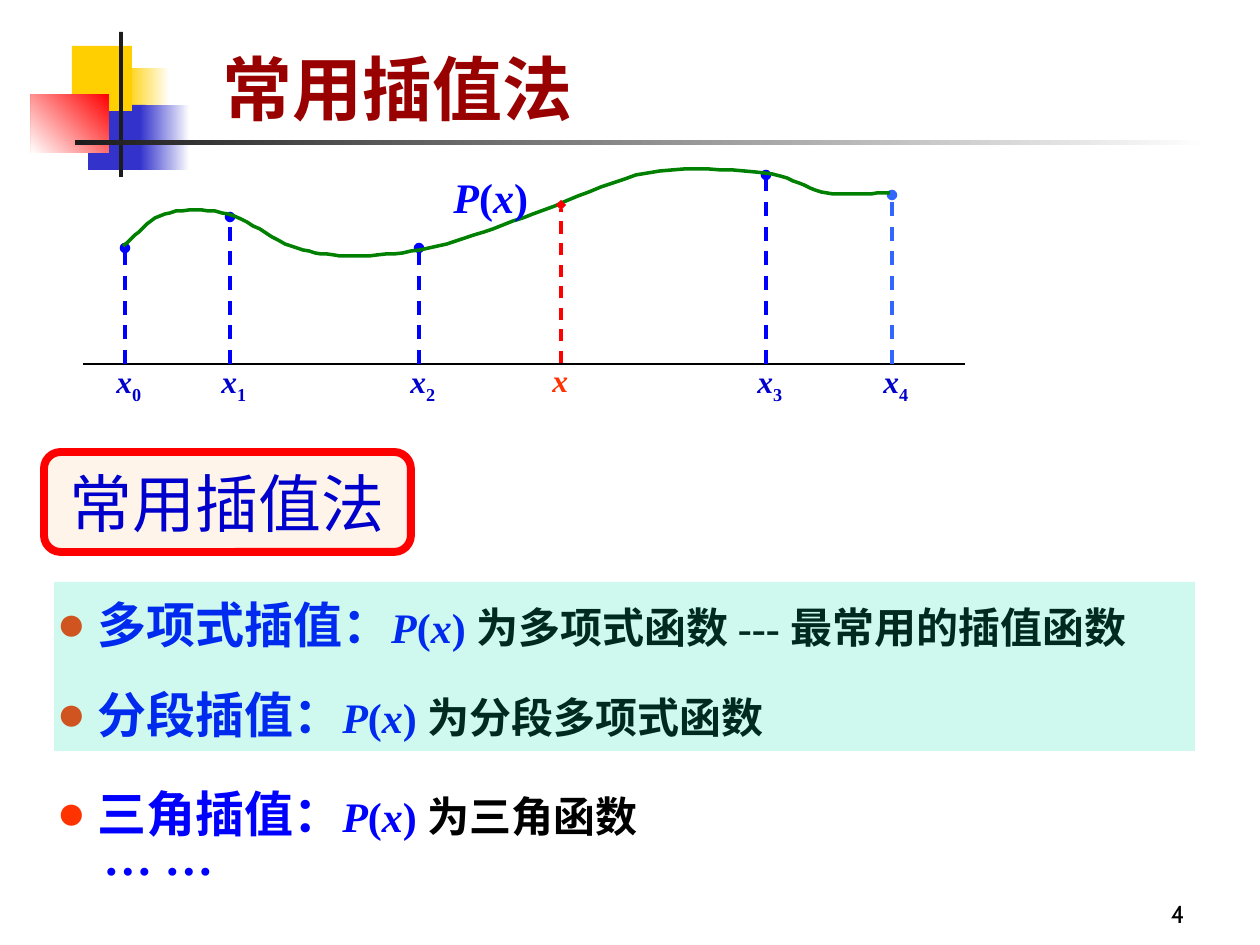
from dataclasses import dataclass
import pptx
import pptx.dml.color
import pptx.enum.dml
import pptx.enum.lang
import pptx.enum.shapes
import pptx.enum.text
import pptx.oxml
import pptx.oxml.ns
import pptx.util

PIXEL = 914400 / 126
SHAPE = pptx.enum.shapes.MSO_SHAPE
ALIGN = pptx.enum.text.PP_ALIGN
ANCHOR = pptx.enum.text.MSO_ANCHOR
FIT = pptx.enum.text.MSO_AUTO_SIZE


@dataclass(frozen=True)
class Theme:
    serif: str = "Times New Roman"
    sans: str = "Cabin"
    white: str = "FFFFFF"
    black: str = "000000"
    ink: str = "1C1C1C"
    gold: str = "FFCF01"
    indigo: str = "3333CC"
    red: str = "FF0000"
    orange: str = "FF3300"
    maroon: str = "990000"
    blue: str = "0000FF"
    navy: str = "0000CC"
    sky: str = "3366FF"
    green: str = "008000"
    peach: str = "FFCC99"
    mint: str = "00E4A8"
    title: int = 40
    heading: int = 36
    topic: int = 28
    body: int = 24
    label: int = 18
    number: int = 14


def px(length):
    return pptx.util.Emu(round(length * PIXEL))


def rgb(code):
    return pptx.dml.color.RGBColor.from_string(code)


def add_child(parent, tag, **attributes):
    child = pptx.oxml.ns.qn(tag)
    element = parent.makeelement(child, attributes)
    parent.append(element)
    return element


def write(para, text, size, color, font=Theme.serif, bold=True, italic=False, base=None):
    span = para.add_run()
    span.text = text
    span.font.size = pptx.util.Pt(size)
    span.font.name = font
    span.font.bold = bold
    span.font.italic = italic
    span.font.color.rgb = rgb(color)
    span.font.language_id = pptx.enum.lang.MSO_LANGUAGE_ID.SIMPLIFIED_CHINESE
    if base:
        span.font._element.set("baseline", str(base * 1000))


def write_function(para, size, color):
    for text, italic in (("P", True), ("(", False), ("x", True), (")", False)):
        write(para, text, size, color, italic=italic)


def smooth_points(knots, steps=10):
    def mirror(end, inner):
        return tuple(2 * a - b for a, b in zip(end, inner))

    chain = [mirror(knots[0], knots[1]), *knots, mirror(knots[-1], knots[-2])]
    points = [knots[0]]
    for before, start, end, after in zip(chain, chain[1:], chain[2:], chain[3:]):
        for step in range(1, steps + 1):
            t = step / steps
            points.append(tuple(
                b + (c - a) * t / 2
                + (2 * a - 5 * b + 4 * c - d) * t ** 2 / 2
                + (3 * b - a - 3 * c + d) * t ** 3 / 2
                for a, b, c, d in zip(before, start, end, after)))
    return points


class Builder:
    def __init__(self, page, theme):
        self.page = page
        self.theme = theme

    def place(self, box, area, anchor=ANCHOR.TOP, wrap=True, fit=FIT.SHAPE_TO_FIT_TEXT):
        box.left, box.top, box.width, box.height = map(px, area)
        frame = box.text_frame
        frame.word_wrap = wrap
        frame.auto_size = fit
        frame.vertical_anchor = anchor
        return frame.paragraphs[0]

    def title(self, text, area):
        para = self.place(self.page.shapes.title, area, ANCHOR.BOTTOM)
        para.alignment = ALIGN.LEFT
        write(para, text, self.theme.title, self.theme.maroon, font=self.theme.sans)

    def text(self, area, **layout):
        return self.place(self.page.shapes.add_textbox(0, 0, 0, 0), area, **layout)

    def shape(self, kind, area, color, fade=None, angle=0, alpha=None, line=None, weight=1):
        box = self.page.shapes.add_shape(kind, *map(px, area))
        box.shadow.inherit = False
        if fade:
            box.fill.gradient()
            box.fill.gradient_angle = angle
            for stop, code in zip(box.fill.gradient_stops, (color, fade)):
                stop.color.rgb = rgb(code)
        else:
            box.fill.solid()
            box.fill.fore_color.rgb = rgb(color)
        if alpha:
            paint = box._element.spPr.find(".//" + pptx.oxml.ns.qn("a:srgbClr"))
            add_child(paint, "a:alpha", val=str(alpha * 1000))
        if line:
            box.line.color.rgb = rgb(line)
            box.line.width = pptx.util.Pt(weight)
        else:
            box.line.fill.background()
        return box

    def line(self, start, end, color, weight, tip=None):
        line = self.page.shapes.add_connector(
            pptx.enum.shapes.MSO_CONNECTOR.STRAIGHT, *map(px, (*start, *end)))
        line.line.color.rgb = rgb(color)
        line.line.width = pptx.util.Pt(weight)
        if tip:
            line.line.dash_style = pptx.enum.dml.MSO_LINE.DASH
            add_child(line.line._get_or_add_ln(), "a:tailEnd", type=tip)
        add_child(line._element.spPr, "a:effectLst")

    def curve(self, knots, color, weight):
        points = smooth_points(knots)
        outline = self.page.shapes.build_freeform(*points[0], scale=PIXEL)
        outline.add_line_segments(points[1:], close=False)
        curve = outline.convert_to_shape()
        curve.shadow.inherit = False
        curve.fill.background()
        curve.line.color.rgb = rgb(color)
        curve.line.width = pptx.util.Pt(weight)

    def stem(self, x, top, base, color, weight, tip, name, name_color, index=""):
        self.line((x, base), (x, top), color, weight, tip)
        para = self.text((x - 21, base - 8, 53, 55))
        write(para, name, self.theme.label, name_color, italic=True)
        if index:
            write(para, index, self.theme.label, name_color, base=-25)

    def methods(self, items, area):
        theme = self.theme
        body = self.page.placeholders[1]
        self.place(body, area, fit=FIT.NONE)
        for position, (topic, meaning, gap) in enumerate(items):
            frame = body.text_frame
            para = frame.add_paragraph() if position else frame.paragraphs[0]
            para.line_spacing = pptx.util.Pt(48)
            para.space_before = pptx.util.Pt(gap)
            properties = para._p.get_or_add_pPr()
            properties.set("marL", str(px(41)))
            properties.set("indent", str(-px(41)))
            color = add_child(properties, "a:buClr")
            add_child(color, "a:srgbClr", val=theme.orange)
            add_child(properties, "a:buFont", typeface=theme.serif)
            add_child(properties, "a:buChar", char="●")
            write(para, topic, theme.topic, theme.blue)
            write_function(para, theme.body, theme.blue)
            write(para, " " + meaning, theme.body, theme.black)


def main():
    theme = Theme()
    deck = pptx.Presentation()
    deck.slide_width, deck.slide_height = px(1260), px(945)
    page = deck.slides.add_slide(deck.slide_layouts[1])
    build = Builder(page, theme)

    for area, color, fade, angle in (
        ((125, 68, 45, 65), theme.white, theme.gold, 180),
        ((88, 105, 58, 65), theme.indigo, None, 0),
        ((72, 46, 60, 65), theme.gold, None, 0),
        ((140, 105, 50, 65), theme.white, theme.indigo, 180),
        ((31, 94, 78, 59), theme.red, theme.white, 225),
        ((119, 32, 4, 145), theme.ink, None, 0),
        ((75, 140, 1134, 5), theme.white, theme.ink, 180),
    ):
        build.shape(SHAPE.RECTANGLE, area, color, fade, angle)
    build.title("常用插值法", (210, 39, 746, 97))

    axis = 364
    build.line((83, axis), (965, axis), theme.black, 1.5)
    nodes = ((125, 248), (230, 217), (419, 248), (766, 175), (892, 195))
    for index, (x, top) in enumerate(nodes):
        color = theme.sky if index == len(nodes) - 1 else theme.blue
        build.stem(x, top, axis, color, 2, "oval", "x", theme.navy, str(index))
    build.curve(
        ((123, 246), (165, 214), (228, 214), (291, 246), (354, 256), (438, 246),
         (533, 214), (648, 173), (764, 173), (827, 193), (890, 193)), theme.green, 2)
    build.stem(561, 205, axis - 1, theme.red, 1.75, "diamond", "x", theme.orange)
    write_function(build.text((441, 165, 110, 63), wrap=False), theme.body, theme.blue)

    build.methods((
        ("多项式插值：", "为多项式函数 --- 最常用的插值函数", 0),
        ("分段插值：", "为分段多项式函数", 3.4),
        ("三角插值：", "为三角函数", 8.6),
    ), (44, 563, 1171, 280))
    write(build.text((91, 820, 277, 72)), "… …", theme.topic, theme.blue)

    heading = build.shape(SHAPE.ROUNDED_RECTANGLE, (44, 452, 367, 100), theme.peach,
                          alpha=20, line=theme.red, weight=4.5)
    para = build.place(heading, (44, 452, 367, 100), ANCHOR.MIDDLE, False, FIT.NONE)
    para.alignment = ALIGN.CENTER
    write(para, "常用插值法", theme.heading, theme.navy, bold=False)
    build.shape(SHAPE.RECTANGLE, (54, 582, 1141, 169), theme.mint, alpha=19)

    para = build.text((935, 872, 262, 63), anchor=ANCHOR.BOTTOM, fit=FIT.NONE)
    para.alignment = ALIGN.RIGHT
    write(para, "4", theme.number, theme.black, font=theme.sans, bold=False)
    deck.save("out.pptx")


if __name__ == "__main__":
    main()
